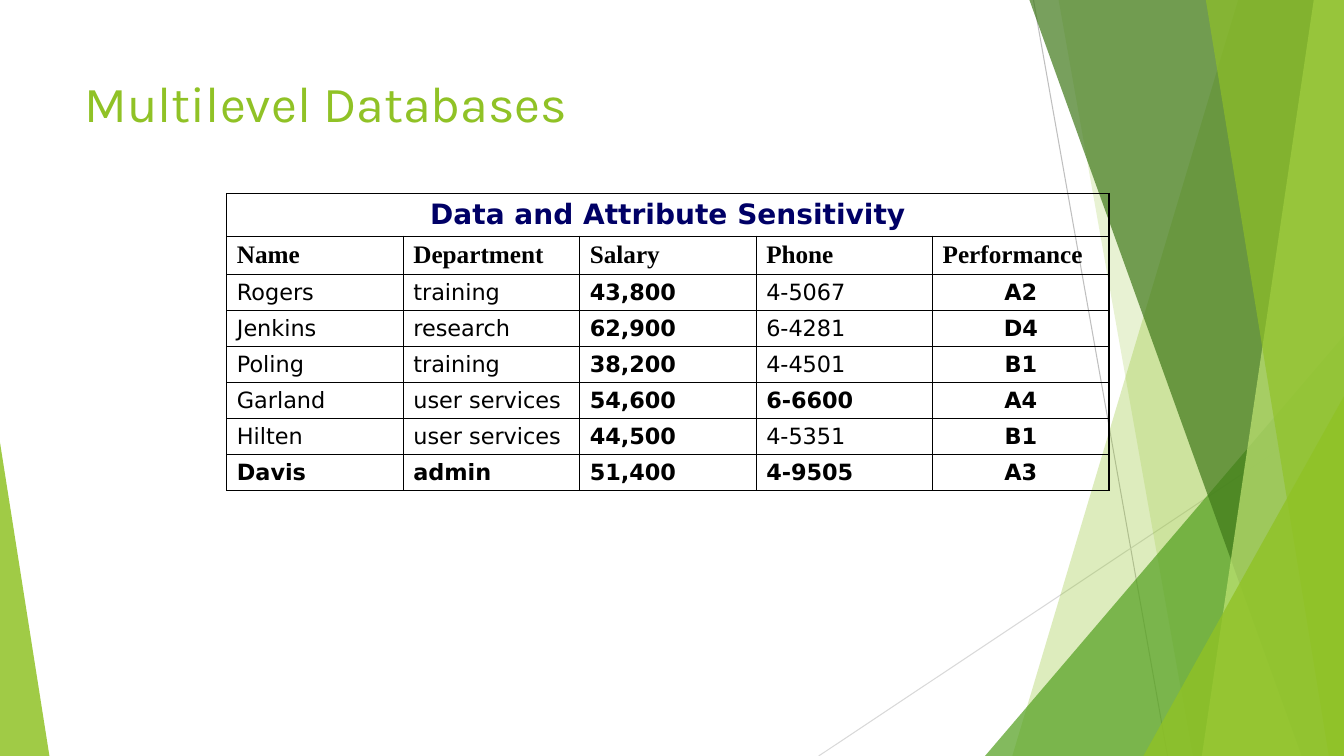
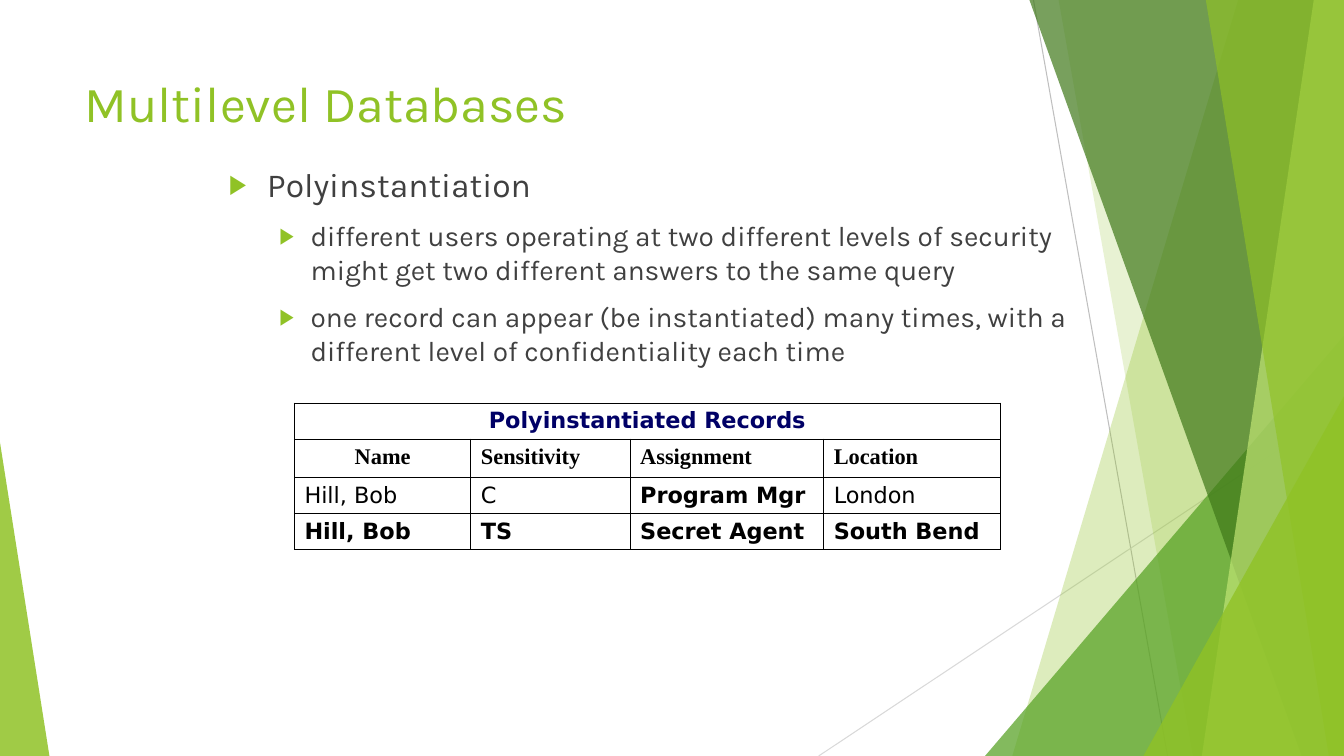
import pptx
import pptx.dml.color
import pptx.enum.shapes
import pptx.enum.text
import pptx.oxml
import pptx.oxml.ns
import pptx.util

Inches, Pt = pptx.util.Inches, pptx.util.Pt
ALIGN = pptx.enum.text.PP_ALIGN
ANCHOR = pptx.enum.text.MSO_ANCHOR
WIDTH, HEIGHT = 13.33, 7.5
GREEN, GREY, NAVY, BLACK = "90C226", "404040", "000066", "000000"
SANS, SERIF, THEME = "DejaVu Sans", "Times New Roman", "Karla"
TITLE_BOX = (0.74, 0.67, 9.4, 1.44)
BODY_BOX = (2.17, 1.58, 9, 2.17)
ROW_HEIGHT, HEADER_HEIGHT = 0.35, 0.38

# Back to front: kind, geometry, colour, opacity in percent.
# A band runs from its left edge (top x, bottom x) to the right side of the slide.
DECORATION = [
    ("line", (10.25, 0, 11.58, HEIGHT), "BFBFBF", 100),
    ("line", (WIDTH, 4.03, 8.12, HEIGHT), "D9D9D9", 100),
    ("band", (12.28, 10.04), GREEN, 30),
    ("band", (10.5, 11.83), GREEN, 20),
    ("triangle", (9.77, 3.33, WIDTH, 1), "54A021", 72),
    ("band", (10.21, 12.91), "3F7819", 70),
    ("band", (13.03, 11.92), "C0E474", 70),
    ("band", (11.96, 13.18), GREEN, 65),
    ("triangle", (11.34, 3.93, WIDTH, 1), GREEN, 80),
    ("triangle", (0, 4.39, 0.49, 0), GREEN, 85),
]

# An asterisk in front of a cell's text makes it bold.
SLIDES = [
    {
        "title": "Multilevel Databases",
        "bullets": [],
        "table": {
            "corner": (2.25, 1.92),
            "columns": [1.75] * 5,
            "sizes": (20, 18, 16),
            "centred": {(row, 4) for row in range(2, 8)},
            "rows": [
                ["*Data and Attribute Sensitivity"],
                ["*Name", "*Department", "*Salary", "*Phone", "*Performance"],
                ["Rogers", "training", "*43,800", "4-5067", "*A2"],
                ["Jenkins", "research", "*62,900", "6-4281", "*D4"],
                ["Poling", "training", "*38,200", "4-4501", "*B1"],
                ["Garland", "user services", "*54,600", "*6-6600", "*A4"],
                ["Hilten", "user services", "*44,500", "4-5351", "*B1"],
                ["*Davis", "*admin", "*51,400", "*4-9505", "*A3"],
            ],
        },
    },
    {
        "title": "Multilevel Databases",
        "bullets": [
            (0, "Polyinstantiation"),
            (1, "different users operating at two different levels of security "
                "might get two different answers to the same query"),
            (1, "one record can appear (be instantiated) many times, "
                "with a different level of confidentiality each time"),
        ],
        "table": {
            "corner": (2.92, 4),
            "columns": [1.75, 1.58, 1.92, 1.75],
            "sizes": (16, 16, 16),
            "centred": {(1, 0)},
            "rows": [
                ["*Polyinstantiated Records"],
                ["*Name", "*Sensitivity", "*Assignment", "*Location"],
                ["Hill, Bob", "C", "*Program Mgr", "London"],
                ["*Hill, Bob", "*TS", "*Secret Agent", "*South Bend"],
            ],
        },
    },
]


def colour(code):
    return pptx.dml.color.RGBColor.from_string(code)


def xml(text):
    """Parse one element of the drawing namespace."""
    head, tail = text.split(" ", 1)
    return pptx.oxml.parse_xml(f"{head} {pptx.oxml.ns.nsdecls('a')} {tail}")


def format_text(target, **values):
    font = target.font
    font.color.rgb = colour(values.pop("colour"))
    for name, value in values.items():
        setattr(font, name, value)


def place(shape, box):
    for name, value in zip(("left", "top", "width", "height"), box):
        setattr(shape, name, Inches(value))


def draw_line(shapes, ends, code):
    line = shapes.add_connector(
        pptx.enum.shapes.MSO_CONNECTOR.STRAIGHT, *map(Inches, ends))
    line.line.color.rgb = colour(code)
    line.line.width = Pt(0.75)
    line.element.spPr.append(xml("<a:effectLst />"))
    return line


def draw_band(shapes, edge):
    top, bottom = edge
    outline = shapes.build_freeform(Inches(top), 0)
    corners = [(WIDTH, 0), (WIDTH, HEIGHT), (bottom, HEIGHT)]
    outline.add_line_segments([(Inches(x), Inches(y)) for x, y in corners])
    return outline.convert_to_shape()


def draw_triangle(shapes, geometry):
    left, top, right, apex = geometry
    triangle = shapes.add_shape(
        pptx.enum.shapes.MSO_SHAPE.ISOSCELES_TRIANGLE,
        *map(Inches, (left, top, right - left, HEIGHT - top)))
    triangle.adjustments[0] = apex
    return triangle


def fill_shape(shape, code, opacity):
    shape.shadow.inherit = False
    shape.line.fill.background()
    shape.fill.solid()
    shape.fill.fore_color.rgb = colour(code)
    solid = shape.element.spPr.find(pptx.oxml.ns.qn("a:solidFill"))
    solid[0].append(xml(f'<a:alpha val="{opacity * 1000}"/>'))


def decorate_master(master, shapes):
    """Draw the decoration with a slide's shapes and move it behind the master's text."""
    for position, (kind, geometry, code, opacity) in enumerate(DECORATION, 2):
        if kind == "line":
            shape = draw_line(shapes, geometry, code)
        else:
            draw = {"band": draw_band, "triangle": draw_triangle}[kind]
            shape = draw(shapes, geometry)
            fill_shape(shape, code, opacity)
        master.shapes.element.insert(position, shape.element)


def write_title(slide, text):
    title = slide.shapes.title
    place(title, TITLE_BOX)
    frame = title.text_frame
    frame.text = text
    frame.vertical_anchor = ANCHOR.TOP
    frame.auto_size = pptx.enum.text.MSO_AUTO_SIZE.NONE
    para = frame.paragraphs[0]
    para.alignment = ALIGN.LEFT
    format_text(para.runs[0], name=THEME, size=Pt(36), colour=GREEN)


def write_bullets(body, bullets):
    place(body, BODY_BOX)
    frame = body.text_frame
    frame.auto_size = pptx.enum.text.MSO_AUTO_SIZE.NONE
    for index, (level, text) in enumerate(bullets):
        para = frame.add_paragraph() if index else frame.paragraphs[0]
        para.level = level
        margin, hanging, size = [(0.38, 0.38, 24), (0.81, 0.31, 20)][level]
        properties = para._p.get_or_add_pPr()
        properties.set("marL", str(Inches(margin)))
        properties.set("indent", str(-Inches(hanging)))
        for mark in (f'<a:buClr ><a:srgbClr val="{GREEN}"/></a:buClr>',
                     '<a:buSzPct val="80000"/>', '<a:buChar char="▶"/>'):
            properties.append(xml(mark))
        para.space_before = Pt(10 if index else 0)
        span = para.add_run()
        span.text = text
        format_text(span, name=THEME, size=Pt(size), colour=GREY)


def border_cell(cell):
    cell.fill.background()
    properties = cell._tc.get_or_add_tcPr()
    for position, side in enumerate("LRTB"):
        properties.insert(position, xml(
            f'<a:ln{side} w="{Pt(1)}"><a:solidFill><a:srgbClr val="{BLACK}"/>'
            f"</a:solidFill></a:ln{side}>"))


def add_grid(slide, content):
    rows, columns = content["rows"], content["columns"]
    heights = [ROW_HEIGHT, HEADER_HEIGHT] + [ROW_HEIGHT] * (len(rows) - 2)
    box = (*content["corner"], sum(columns), sum(heights))
    table = slide.shapes.add_table(len(rows), len(columns), *map(Inches, box)).table
    table.first_row = table.horz_banding = False
    for column, width in zip(table.columns, columns):
        column.width = Inches(width)
    for row, height in zip(table.rows, heights):
        row.height = Inches(height)
    for cell in table.iter_cells():
        border_cell(cell)
    table.cell(0, 0).merge(table.cell(0, len(columns) - 1))
    table.cell(0, 0).vertical_anchor = ANCHOR.MIDDLE
    styles = list(zip((SANS, SERIF, SANS), content["sizes"], (NAVY, BLACK, BLACK)))
    for r, texts in enumerate(rows):
        name, size, code = styles[min(r, 2)]
        for c, text in enumerate(texts):
            para = table.cell(r, c).text_frame.paragraphs[0]
            centred = r == 0 or (r, c) in content["centred"]
            para.alignment = ALIGN.CENTER if centred else ALIGN.LEFT
            span = para.add_run()
            span.text = text.lstrip("*")
            format_text(span, name=name, size=Pt(size), colour=code,
                        bold=text.startswith("*"))


def main():
    deck = pptx.Presentation()
    deck.slide_width, deck.slide_height = Inches(WIDTH), Inches(HEIGHT)
    for number, content in enumerate(SLIDES):
        layout = deck.slide_layouts[1 if content["bullets"] else 5]
        slide = deck.slides.add_slide(layout)
        if number == 0:
            decorate_master(deck.slide_master, slide.shapes)
        write_title(slide, content["title"])
        if content["bullets"]:
            write_bullets(slide.placeholders[1], content["bullets"])
        add_grid(slide, content["table"])
    deck.save("out.pptx")


if __name__ == "__main__":
    main()
